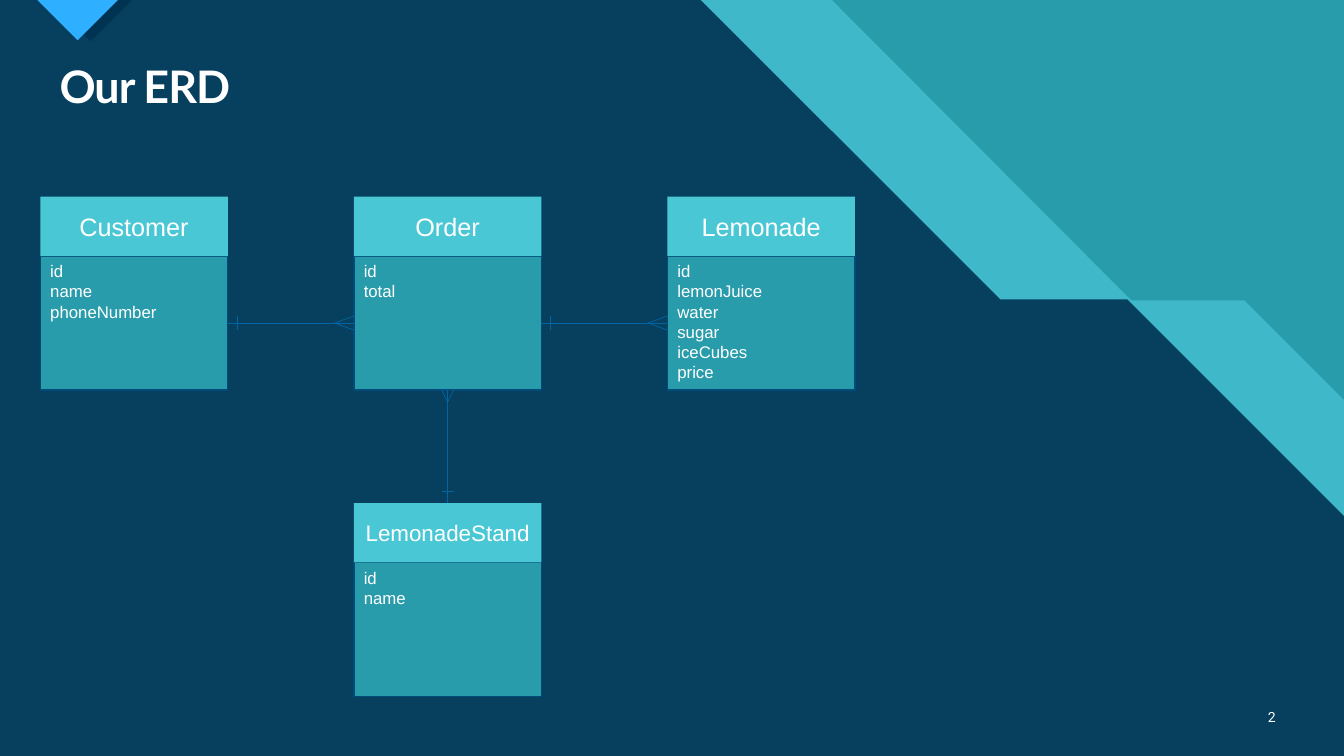
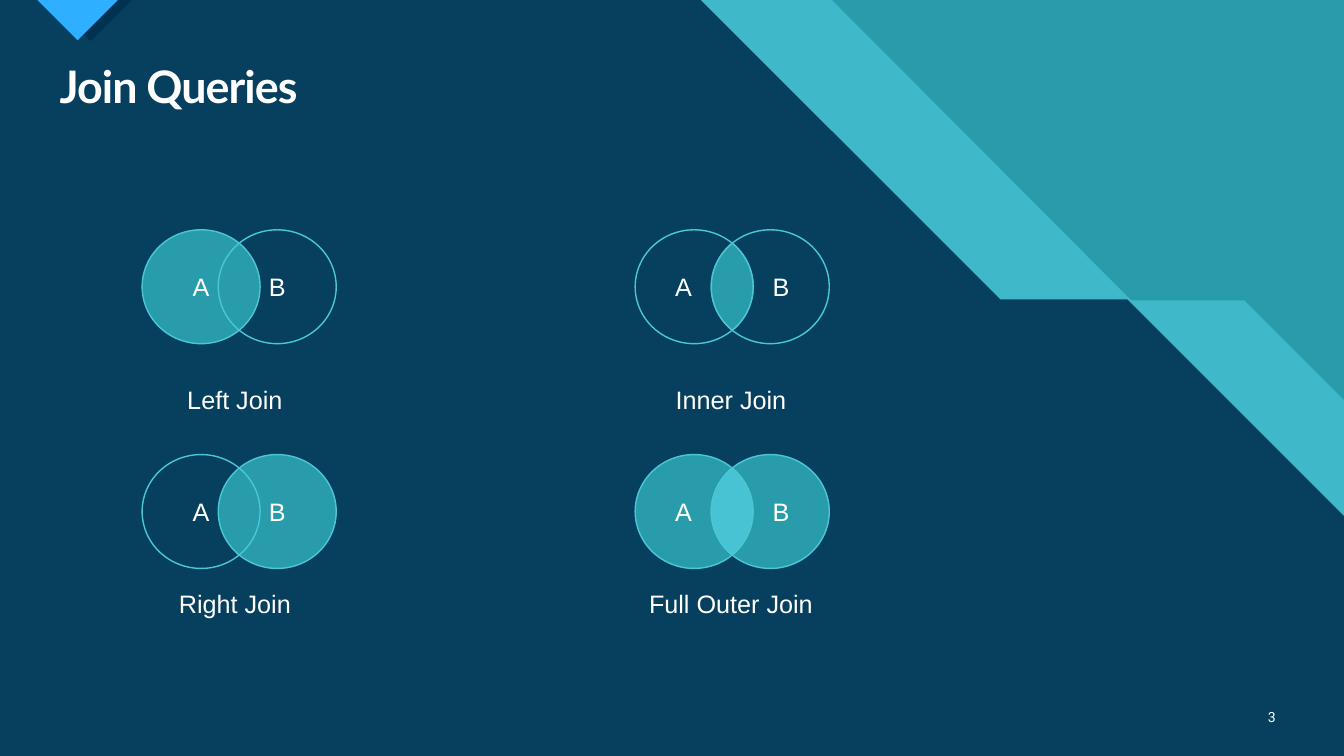
from math import acos, cos, sin

from lxml.etree import SubElement
from pptx import Presentation
from pptx.dml.color import RGBColor
from pptx.enum.shapes import MSO_CONNECTOR, MSO_SHAPE
from pptx.enum.text import MSO_ANCHOR, PP_ALIGN
from pptx.oxml.ns import qn
from pptx.util import Inches, Pt

WHITE = RGBColor(0xFF, 0xFF, 0xFF)
NAVY = RGBColor(0x06, 0x40, 0x5E)
DEEP_NAVY = RGBColor(0x00, 0x33, 0x52)
TEAL = RGBColor(0x29, 0x9C, 0xAB)
BAND = RGBColor(0x3F, 0xB9, 0xC9)
AQUA = RGBColor(0x4A, 0xC7, 0xD5)
OVERLAP = RGBColor(0x47, 0xC3, 0xD3)
BLUE = RGBColor(0x2F, 0xAF, 0xFF)
BODY_LINE = RGBColor(0x00, 0x4B, 0x79)
RELATION_LINE = RGBColor(0x00, 0x65, 0xA4)

WIDTH, HEIGHT = 13.33, 7.5
ENTITY_WIDTH, HEAD_HEIGHT, BODY_HEIGHT = 1.86, 0.59, 1.33
CIRCLE_WIDTH, CIRCLE_HEIGHT, CIRCLE_STEP = 1.17, 1.13, 0.755

# Backdrop areas, from back to front
BACKDROP = [
    (BAND, [(0, 0), (8.25, 0), (11.22, 2.98), (12.34, 2.98), (WIDTH, 3.97),
            (WIDTH, HEIGHT), (0, HEIGHT)]),
    (NAVY, [(0, 0), (6.95, 0), (9.92, 2.97), (11.18, 2.97), (WIDTH, 5.12),
            (WIDTH, HEIGHT), (0, HEIGHT)]),
    (DEEP_NAVY, [(0.48, 0), (0.9, 0.41), (1.31, 0)]),
    (BLUE, [(0.37, 0), (0.77, 0.4), (1.17, 0)]),
]


def write(frame, text, font="Arial", size=18, bold=False, align=PP_ALIGN.LEFT,
          anchor=MSO_ANCHOR.TOP, wrap=True, line_spacing=None, tracking=None):
    """Fill a text frame, one paragraph per line of text."""
    frame.word_wrap = wrap
    frame.vertical_anchor = anchor
    for number, line in enumerate(text.split("\n")):
        para = frame.add_paragraph() if number else frame.paragraphs[0]
        para.alignment = align
        para.line_spacing = line_spacing
        span = para.add_run()
        span.text = line
        span.font.name = font
        span.font.size = Pt(size)
        span.font.bold = bold
        span.font.color.rgb = WHITE
        if tracking is not None:
            span.font._element.set("spc", str(int(tracking * 100)))


class Slides:
    def __init__(self):
        self.deck = Presentation()
        self.deck.slide_width = Inches(WIDTH)
        self.deck.slide_height = Inches(HEIGHT)
        self.page = None

    def start(self, title, number):
        """Add a page with backdrop, title and page number."""
        self.page = self.deck.slides.add_slide(self.deck.slide_layouts[5])
        background = self.page.background.fill
        background.solid()
        background.fore_color.rgb = TEAL
        for color, points in BACKDROP:
            self.polygon(points, color)

        box = self.page.shapes.title
        box.left, box.top = Inches(0.49), Inches(0.59)
        box.width, box.height = Inches(12.26), Inches(0.59)
        write(box.text_frame, title, font="Lato", size=32, bold=True,
              line_spacing=0.9, tracking=-0.7)
        self.page.shapes.element.append(box.element)  # in front of the backdrop

        self.text(12.31, 6.91, 0.44, 0.4, str(number), font="Roboto", size=10,
                  align=PP_ALIGN.RIGHT, anchor=MSO_ANCHOR.MIDDLE)

    def text(self, left, top, width, height, text, **style):
        box = self.page.shapes.add_textbox(
            Inches(left), Inches(top), Inches(width), Inches(height))
        write(box.text_frame, text, **style)

    def paint(self, shape, fill, line):
        shape.shadow.inherit = False
        if fill is None:
            shape.fill.background()
        else:
            shape.fill.solid()
            shape.fill.fore_color.rgb = fill
        if line is None:
            shape.line.fill.background()
        else:
            shape.line.color.rgb = line
            shape.line.width = Pt(1)

    def shape(self, kind, left, top, width, height, fill=None, line=None):
        shape = self.page.shapes.add_shape(
            kind, Inches(left), Inches(top), Inches(width), Inches(height))
        self.paint(shape, fill, line)
        return shape

    def polygon(self, points, fill, line=None):
        corners = [(Inches(x), Inches(y)) for x, y in points]
        builder = self.page.shapes.build_freeform(*corners[0])
        builder.add_line_segments(corners[1:], close=True)
        self.paint(builder.convert_to_shape(), fill, line)

    def line(self, start, end):
        line = self.page.shapes.add_connector(
            MSO_CONNECTOR.STRAIGHT, *(Inches(value) for value in (*start, *end)))
        line.line.color.rgb = RELATION_LINE
        line.line.width = Pt(0.5)
        SubElement(line.element.spPr, qn("a:effectLst"))

    def entity(self, left, top, name, fields, size=18):
        """Draw a named header above a list of fields."""
        body = self.shape(MSO_SHAPE.RECTANGLE, left, top + HEAD_HEIGHT,
                          ENTITY_WIDTH, BODY_HEIGHT, TEAL, BODY_LINE)
        write(body.text_frame, fields, size=12)
        head = self.shape(MSO_SHAPE.RECTANGLE, left, top,
                          ENTITY_WIDTH, HEAD_HEIGHT, AQUA)
        write(head.text_frame, name, size=size, align=PP_ALIGN.CENTER,
              anchor=MSO_ANCHOR.MIDDLE, wrap=False)

    def relation(self, one, many, tick, foot, spread):
        """Link two points: a tick at the one end, a crow's foot at the many end."""
        across, down = many[0] - one[0], many[1] - one[1]
        length = abs(across) + abs(down)
        across, down = across / length, down / length

        def place(along, side):
            return (one[0] + along * across - side * down,
                    one[1] + along * down + side * across)

        self.line(one, many)
        for side in (-spread, spread):
            self.line(place(length - foot, 0), place(length, side))
        self.line(place(tick, -spread), place(tick, spread))

    def venn(self, left, top, caption, caption_center, caption_top,
             fills=(None, None), overlap=None):
        """Draw circles A and B, an optional overlap and a caption."""
        shift = 0.21 if overlap else 0  # moves the letters clear of the overlap
        circles = list(zip("AB", (left, left + CIRCLE_STEP), fills))
        for letter, x, fill in sorted(circles, key=lambda circle: circle[2] is None):
            circle = self.shape(MSO_SHAPE.OVAL, x, top, CIRCLE_WIDTH,
                                CIRCLE_HEIGHT, fill, AQUA)
            frame = circle.text_frame
            frame.margin_left = Inches(0.1 + shift * (letter == "B"))
            frame.margin_right = Inches(0.1 + shift * (letter == "A"))
            write(frame, letter, align=PP_ALIGN.CENTER, anchor=MSO_ANCHOR.MIDDLE)
        if overlap:
            self.lens(left, top, overlap)
        self.text(caption_center - 1.1, caption_top, 2.2, 0.4, caption,
                  align=PP_ALIGN.CENTER)

    def lens(self, left, top, fill):
        """Draw the area that both circles share."""
        radius_x, radius_y = CIRCLE_WIDTH / 2, CIRCLE_HEIGHT / 2
        middle_x = left + radius_x + CIRCLE_STEP / 2
        middle_y = top + radius_y
        limit = acos(CIRCLE_STEP / CIRCLE_WIDTH)
        steps = 24
        points = []
        for side in (1, -1):
            for step in range(steps):
                angle = limit * (2 * step / steps - 1)
                points.append((
                    middle_x + side * (radius_x * cos(angle) - CIRCLE_STEP / 2),
                    middle_y + side * radius_y * sin(angle)))
        self.polygon(points, fill, AQUA)


def main():
    slides = Slides()

    # Entity diagram
    slides.start("Our ERD", 2)
    columns = [0.4 + 3.11 * index for index in range(3)]
    top, stand_top = 1.95, 4.99
    slides.entity(columns[0], top, "Customer", "id\nname\nphoneNumber")
    slides.entity(columns[1], top, "Order", "id\ntotal")
    slides.entity(columns[2], top, "Lemonade",
                  "id\nlemonJuice\nwater\nsugar\niceCubes\nprice")
    slides.entity(columns[1], stand_top, "LemonadeStand", "id\nname", size=16)
    row = top + HEAD_HEIGHT + BODY_HEIGHT / 2
    for start, end in zip(columns, columns[1:]):
        slides.relation((start + ENTITY_WIDTH, row), (end, row),
                        tick=0.09, foot=0.19, spread=0.07)
    center = columns[1] + ENTITY_WIDTH / 2
    slides.relation((center, stand_top), (center, top + HEAD_HEIGHT + BODY_HEIGHT),
                    tick=0.12, foot=0.12, spread=0.06)

    # Join diagrams
    slides.start("Join Queries", 3)
    left, right = 1.41, 6.3
    upper, lower = 2.28, 4.51
    upper_caption, lower_caption = 3.76, 5.79
    slides.venn(left, upper, "Left Join", 2.33, upper_caption, fills=(TEAL, None))
    slides.venn(left, lower, "Right Join", 2.33, lower_caption, fills=(None, TEAL))
    slides.venn(right, upper, "Inner Join", 7.25, upper_caption, overlap=TEAL)
    slides.venn(right, lower, "Full Outer Join", 7.25, lower_caption,
                fills=(TEAL, TEAL), overlap=OVERLAP)

    slides.deck.save("out.pptx")


if __name__ == "__main__":
    main()
